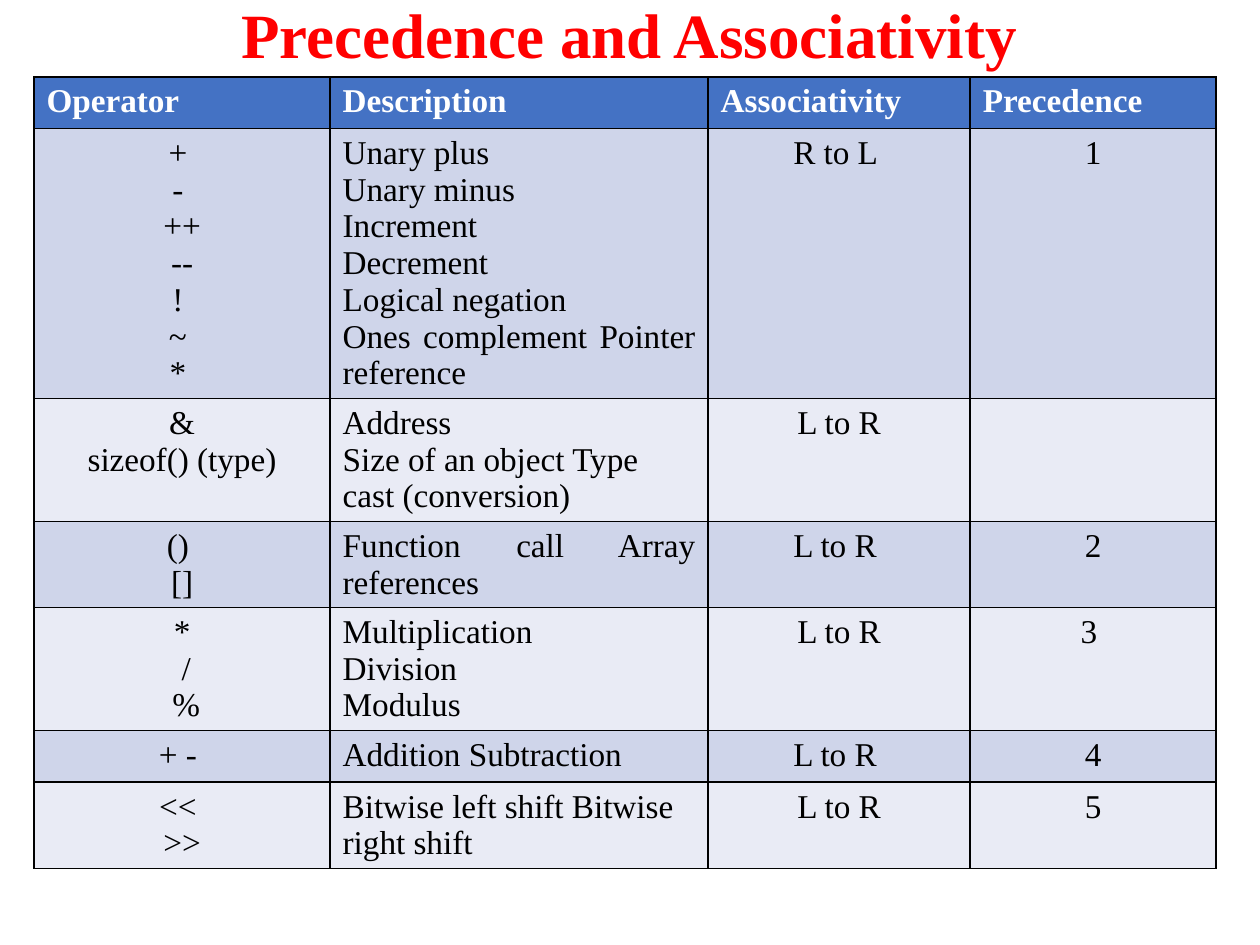
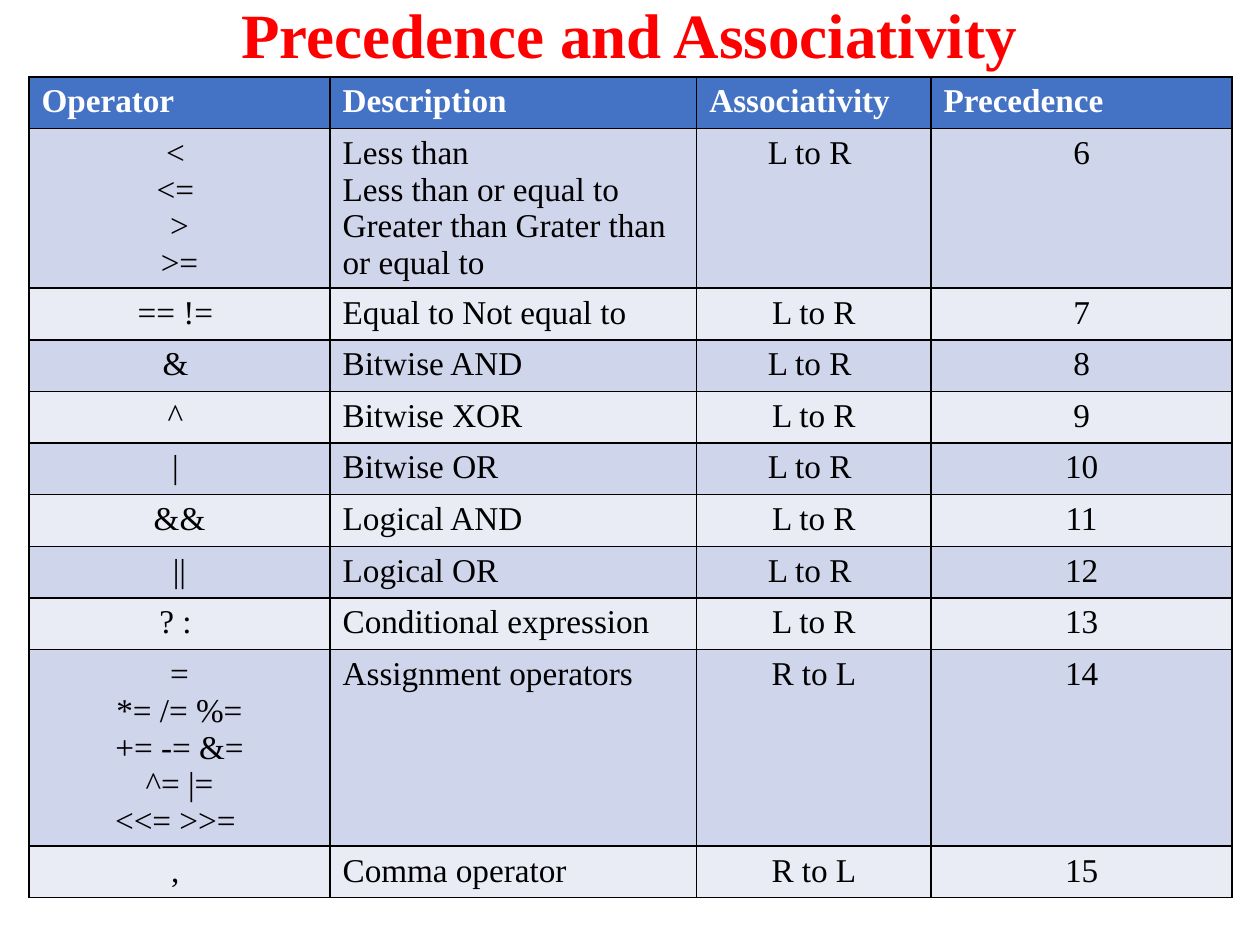
from pptx import Presentation, util as u
from pptx.dml.color import RGBColor
from pptx.enum import text
from pptx.oxml import parse_xml
from pptx.oxml.ns import nsdecls

HUES = {"title": "FF0000", "head": "4472C4", "odd": "CFD5EA", "even": "E9EBF5",
        "ink": "000000", "white": "FFFFFF"}
FONT = "Times New Roman"
TITLE = "Precedence and Associativity"
HEADS = ("Operator", "Description", "Associativity", "Precedence")
ROW = u.Inches(0.41)
LEFT, MID, JUST = text.PP_ALIGN.LEFT, text.PP_ALIGN.CENTER, text.PP_ALIGN.JUSTIFY

PAGES = [
    {"left": 0.27, "high": 6.72, "cols": (2.35, 3, 2.08, 1.95), "just": (1, 3, 4), "rows": [
        ("+ \n- \n++\n -- \n! \n~ \n* ",
         "Unary plus \nUnary minus \nIncrement \nDecrement \nLogical negation \n"
         "Ones complement Pointer reference", "R to L ", "1"),
        ("&\n sizeof() (type) ", "Address\nSize of an object Type cast (conversion)", "L to R", ""),
        ("() \n[]", "Function call Array references", "L to R ", "2"),
        ("*\n /\n %", "Multiplication\nDivision \nModulus ", "L to R", "3 "),
        ("+ - ", "Addition Subtraction", "L to R ", "4"),
        ("<< \n>>", "Bitwise left shift Bitwise right shift", "L to R", "5"),
    ]},
    {"left": 0.23, "high": 6.8, "cols": (2.39, 2.91, 1.86, 2.39), "just": (), "rows": [
        ("< \n<= \n>\n >= ",
         "Less than\nLess than or equal to\nGreater than Grater than or equal to", "L to R ", "6"),
        ("== != ", "Equal to Not equal to", "L to R", "7"),
        ("& ", "Bitwise AND", "L to R ", "8"),
        ("^ ", "Bitwise XOR", "L to R", "9"),
        ("| ", "Bitwise OR", "L to R ", "10"),
        ("&&", "Logical AND", "L to R", "11"),
        ("||", "Logical OR", "L to R ", "12"),
        ("? : ", "Conditional expression", "L to R", "13"),
        ("=\n *= /= %= \n+= -= &=\n ^= |= \n<<= >>= ", "Assignment operators", "R to L", "14"),
        (", ", "Comma operator", "R to L", "15"),
    ]},
]


def put(frame, words, size=19, hue="ink", bold=False, align=MID, lead=None):
    for i, line in enumerate(words.split("\n")):
        para = frame.add_paragraph() if i else frame.paragraphs[0]
        para.alignment = align
        para.line_spacing = lead
        if line:
            run = para.add_run()
            run.text = line
            run.font.name = FONT
            run.font.size = u.Pt(size)
            run.font.bold = bold
            run.font.color.rgb = RGBColor.from_string(HUES[hue])


def paint(cell, hue):
    props = cell._tc.get_or_add_tcPr()
    for side in ("lnL", "lnR", "lnT", "lnB"):
        props.append(parse_xml(
            f'<a:{side} {nsdecls("a")} w="12700"><a:solidFill>'
            f'<a:srgbClr val="{HUES["ink"]}"/></a:solidFill></a:{side}>'))
    cell.fill.solid()
    cell.fill.fore_color.rgb = RGBColor.from_string(HUES[hue])


deck = Presentation()
deck.slide_width, deck.slide_height = u.Inches(10), u.Inches(7.5)

for page in PAGES:
    slide = deck.slides.add_slide(deck.slide_layouts[5])
    title = slide.shapes.title
    title.left, title.top = u.Inches(1.6), u.Inches(0)
    title.width, title.height = u.Inches(6.79), u.Inches(0.61)
    frame = title.text_frame
    frame.margin_left = frame.margin_right = frame.margin_top = frame.margin_bottom = 0
    frame.word_wrap = False
    frame.auto_size = text.MSO_AUTO_SIZE.NONE
    frame.vertical_anchor = text.MSO_ANCHOR.MIDDLE
    put(frame, TITLE, size=36, hue="title", bold=True, lead=0.9)

    rows = [HEADS] + page["rows"]
    high = u.Inches(page["high"])
    box = slide.shapes.add_table(len(rows), len(HEADS), u.Inches(page["left"]),
                                 u.Inches(0.61), u.Inches(sum(page["cols"])), high)
    grid = box.table
    for col, wide in zip(grid.columns, page["cols"]):
        col.width = u.Inches(wide)
    for r, row in enumerate(rows):
        grid.rows[r].height = ROW
        for c, words in enumerate(row):
            cell = grid.cell(r, c)
            if r == 0:
                paint(cell, "head")
                put(cell.text_frame, words, hue="white", bold=True, align=LEFT)
            else:
                paint(cell, "odd" if r % 2 else "even")
                side = MID if c != 1 else JUST if r in page["just"] else LEFT
                put(cell.text_frame, words, align=side)
    box.height = high

deck.save("out.pptx")
